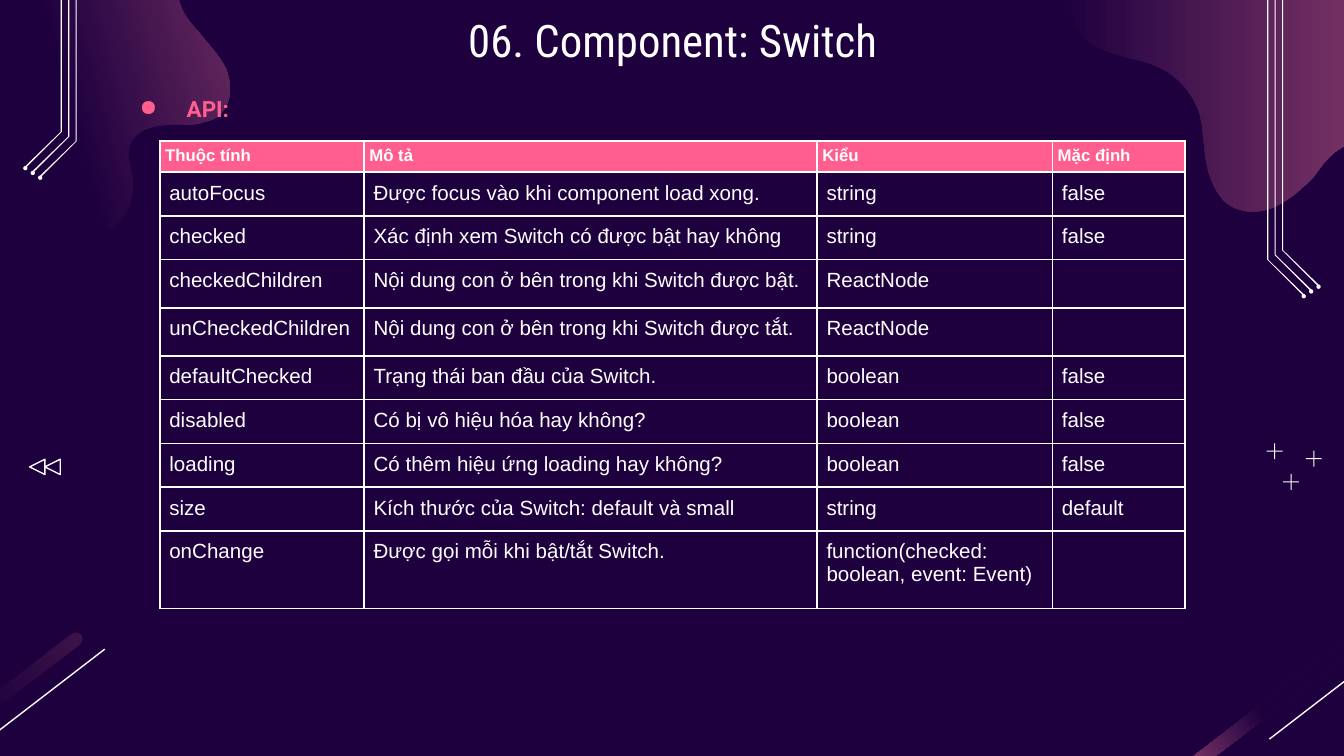
from collections import namedtuple

from lxml.etree import SubElement
from pptx import Presentation
from pptx.dml.color import RGBColor
from pptx.enum.shapes import MSO_CONNECTOR, MSO_SHAPE
from pptx.enum.text import PP_ALIGN
from pptx.oxml.ns import qn
from pptx.util import Cm, Pt

Box = namedtuple("Box", "left top width height")
DARK, PURPLE, PINK, WHITE = "1E003F", "A64D79", "FF5E8E", "FFFFFF"

# Outlines are a start point followed by triples of Bezier points.
LEFT_BLOB = [
    (48, 190), (74, 183), (86, 169), (90, 165), (98, 156), (101, 143), (99, 131),
    (98, 124), (95, 117), (97, 111), (98, 102), (106, 97), (114, 95),
    (124, 92), (133, 93), (142, 93), (146, 93), (150, 92), (153, 91),
    (158, 90), (163, 88), (166, 84), (174, 75), (173, 61), (169, 51),
    (164, 41), (155, 32), (148, 23), (140, 15), (133, 4), (133, -7),
    (133, -16), (136, -25), (143, -31), (147, -35), (153, -38), (159, -39),
    (168, -42), (179, -42), (190, -41), (201, -41), (212, -40), (223, -42),
    (237, -46), (246, -51), (252, -58), (259, -66), (261, -78), (258, -87),
    (256, -105), (244, -125), (233, -134), (215, -150), (190, -155), (167, -151),
    (129, -140), (103, -110), (70, -95), (65, -93), (59, -91), (54, -90),
    (22, -81), (-13, -85), (-47, -82), (-62, -81), (-77, -78), (-91, -74),
    (-104, -71), (-116, -67), (-128, -61), (-145, -54), (-162, -44), (-174, -30),
    (-186, -17), (-195, 2), (-194, 22), (-193, 46), (-176, 68), (-156, 80),
    (-135, 93), (-112, 97), (-88, 99), (-74, 101), (-60, 101), (-46, 106),
    (-32, 110), (-19, 119), (-13, 133), (-8, 144), (-8, 155), (-3, 166),
    (6, 184), (29, 195), (48, 190)]
RIGHT_BLOB = [
    (1125, 38), (1125, 13), (1118, -13), (1105, -35), (1094, -54), (1078, -70), (1058, -77),
    (1036, -85), (1012, -81), (989, -84), (967, -87), (945, -97), (929, -113),
    (918, -123), (909, -135), (897, -141), (883, -148), (867, -146), (852, -143),
    (840, -140), (828, -136), (819, -129), (803, -117), (796, -97), (793, -78),
    (790, -65), (789, -51), (789, -38), (789, -31), (789, -24), (790, -18),
    (791, 0), (796, 18), (809, 30), (825, 42), (847, 42), (864, 50),
    (878, 57), (888, 69), (893, 83), (896, 94), (896, 107), (898, 119),
    (900, 130), (905, 143), (914, 150), (924, 157), (938, 157), (949, 152),
    (960, 147), (969, 139), (978, 130), (983, 123), (988, 116), (995, 111),
    (1002, 106), (1010, 103), (1018, 106), (1033, 110), (1038, 130), (1052, 138),
    (1085, 157), (1108, 112), (1117, 88), (1122, 72), (1125, 55), (1125, 38)]

HEADER = ["Thuộc tính", "Mô tả", "Kiểu", "Mặc định"]
PROPERTIES = [
    ("autoFocus", "Được focus vào khi component load xong.", "string", "false"),
    ("checked", "Xác định xem Switch có được bật hay không", "string", "false"),
    ("checkedChildren", "Nội dung con ở bên trong khi Switch được bật.", "ReactNode", ""),
    ("unCheckedChildren", "Nội dung con ở bên trong khi Switch được tắt.", "ReactNode", ""),
    ("defaultChecked", "Trạng thái ban đầu của Switch.", "boolean", "false"),
    ("disabled", "Có bị vô hiệu hóa hay không?", "boolean", "false"),
    ("loading", "Có thêm hiệu ứng loading hay không?", "boolean", "false"),
    ("size", "Kích thước của Switch: default và small", "string", "default"),
    ("onChange", "Được gọi mỗi khi bật/tắt Switch.", "function(checked: boolean, event: Event)", "")]
COLUMN_WIDTHS = [3.86, 8.56, 4.45, 2.51]
ROW_HEIGHTS = [0.57, 0.79, 0.79, 0.91, 0.91] + [0.79] * 4 + [1.47]


def color(value):
    return RGBColor.from_string(value)


def paint(shape, fill=None, line=None):
    shape.shadow.inherit = False
    if fill:
        shape.fill.solid()
        shape.fill.fore_color.rgb = color(fill)
    else:
        shape.fill.background()
    if line:
        shape.line.color.rgb = color(line)
        shape.line.width = Pt(0.75)
    else:
        shape.line.fill.background()


def paint_gradient(shape, start, end, angle=0, positions=(0, 1)):
    paint(shape)
    shape.fill.gradient()
    shape.fill.gradient_angle = angle
    for stop, value, position in zip(shape.fill.gradient_stops, (start, end), positions):
        stop.color.rgb = color(value)
        stop.position = position


def add_preset(slide, kind, box):
    return slide.shapes.add_shape(kind, *map(Cm, box))


def add_outline(slide, points):
    points = [(Cm(x), Cm(y)) for x, y in points]
    builder = slide.shapes.build_freeform(*points[0])
    builder.add_line_segments(points[1:], close=True)
    return builder.convert_to_shape()


def flatten(outline, steps=8):
    """Return points along the Bezier curves of an outline."""
    points = [outline[0]]
    for index in range(0, len(outline) - 1, 3):
        corners = outline[index:index + 4]
        for step in range(1, steps + 1):
            t = step / steps
            weights = ((1 - t) ** 3, 3 * t * (1 - t) ** 2, 3 * t * t * (1 - t), t ** 3)
            points.append(tuple(sum(w * corner[axis] for w, corner in zip(weights, corners))
                                for axis in (0, 1)))
    return points


def add_blob(slide, box, outline, **gradient):
    points = flatten(outline)
    xs, ys = zip(*points)
    across, down = box.width / (max(xs) - min(xs)), box.height / (max(ys) - min(ys))
    shape = add_outline(slide, [(box.left + (x - min(xs)) * across,
                                 box.top + (y - min(ys)) * down) for x, y in points])
    paint_gradient(shape, DARK, PURPLE, **gradient)


def add_streak(slide, box, start, end, positions):
    """Slanted glowing bar with a thin line to its lower right."""
    length, thickness = 4.75, 0.25
    bar = add_preset(slide, MSO_SHAPE.ROUNDED_RECTANGLE,
                     Box(box.left + (box.width - length) / 2,
                         box.top + (box.height - thickness) / 2, length, thickness))
    bar.adjustments[0] = 0.5
    bar.rotation = -37.4
    paint_gradient(bar, start, end, positions=positions)
    line = slide.shapes.add_connector(
        MSO_CONNECTOR.STRAIGHT, Cm(box.left + 4.24), Cm(box.top + 0.32),
        Cm(box.left + 2.03), Cm(box.top + 2.02))
    line.line.color.rgb = color(WHITE)
    line.line.width = Pt(0.75)
    SubElement(line._element.spPr, qn("a:effectLst"))


def add_rails(slide, left, top, side):
    """Three vertical lines that bend outward, side being 1 or -1."""
    bend, thickness, dot = 0.69, 0.02, 0.08
    for index in range(3):
        x, y = left - side * 0.14 * index, top + 7.75 + 0.09 * index
        inner, end_x, end_y = x + side * thickness, x + side * bend, y + bend
        rail = add_outline(slide, [(inner, top), (x, top), (x, y), (end_x, end_y),
                                   (end_x + side * thickness, end_y - thickness), (inner, y)])
        paint(rail, WHITE)
        tip = add_preset(slide, MSO_SHAPE.OVAL, Box(end_x - dot / 2, end_y - dot / 2, dot, dot))
        paint(tip, WHITE)


def add_pluses(slide, box):
    arm, thickness = 0.3, 0.02
    for x, y in [(0.46, 0.73), (0.89, 0.29), (0.15, 0.15)]:
        for width, height in [(arm, thickness), (thickness, arm)]:
            bar = add_preset(slide, MSO_SHAPE.RECTANGLE,
                             Box(box.left + x - width / 2, box.top + y - height / 2, width, height))
            paint(bar, WHITE)


def add_rewind(slide, box):
    for index in range(2):
        triangle = add_preset(slide, MSO_SHAPE.ISOSCELES_TRIANGLE,
                              Box(box.left + index * box.width / 2, box.top,
                                  box.width / 2, box.height))
        triangle.rotation = 270
        paint(triangle, line=WHITE)


def write(paragraph, text, *, font, size, fill=WHITE, bold=False, align=None):
    run = paragraph.add_run()
    run.text = text
    run.font.name, run.font.size, run.font.bold = font, Pt(size), bold
    run.font.color.rgb = color(fill)
    paragraph.alignment = align


def add_text_box(slide, box):
    frame = slide.shapes.add_textbox(*map(Cm, box)).text_frame
    frame.word_wrap = True
    frame.margin_left = frame.margin_right = frame.margin_top = frame.margin_bottom = Cm(0.25)
    return frame.paragraphs[0]


def add_heading(slide, box):
    title = add_text_box(slide, Box(box.left, box.top, box.width, 1.6))
    write(title, "06. Component: Switch", font="Roboto Condensed", size=24, align=PP_ALIGN.CENTER)
    subtitle = add_text_box(slide, Box(box.left, box.top + 1.3, 20.62, 1.12))
    subtitle.line_spacing = 1.5
    properties = subtitle._p.get_or_add_pPr()
    properties.set("marL", str(Cm(1.27)))
    properties.set("indent", str(Cm(-0.89)))
    SubElement(SubElement(properties, qn("a:buClr")), qn("a:srgbClr"), val=PINK)
    SubElement(properties, qn("a:buChar"), char="●")
    write(subtitle, "API:", font="Roboto", size=12, fill=PINK, bold=True)


def add_borders(cell):
    properties = cell._tc.get_or_add_tcPr()
    for side in ("lnL", "lnR", "lnT", "lnB"):
        border = SubElement(properties, qn(f"a:{side}"), w=str(Pt(1)))
        SubElement(SubElement(border, qn("a:solidFill")), qn("a:srgbClr"), val=WHITE)


def fill_cell(cell, text, is_header):
    margin = Cm(0.1 if is_header else 0.18)
    cell.margin_left = cell.margin_right = cell.margin_top = cell.margin_bottom = margin
    add_borders(cell)
    if is_header:
        cell.fill.solid()
        cell.fill.fore_color.rgb = color(PINK)
    else:
        cell.fill.background()
    paragraph = cell.text_frame.paragraphs[0]
    if text:
        write(paragraph, text, font="Arial", size=9 if is_header else 11, bold=is_header)
    else:
        SubElement(paragraph._p, qn("a:endParaRPr"), sz="1100")


def add_property_table(slide, box):
    rows = [HEADER, *PROPERTIES]
    table = slide.shapes.add_table(len(rows), len(HEADER), *map(Cm, box)).table
    table.first_row = table.horz_banding = False
    for column, width in zip(table.columns, COLUMN_WIDTHS):
        column.width = Cm(width)
    for index, (row, height) in enumerate(zip(table.rows, ROW_HEIGHTS)):
        row.height = Cm(height)
        for cell, text in zip(row.cells, rows[index]):
            fill_cell(cell, text, index == 0)


def main():
    presentation = Presentation()
    presentation.slide_width, presentation.slide_height = Cm(25.4), Cm(14.29)
    slide = presentation.slides.add_slide(presentation.slide_layouts[6])
    slide.background.fill.solid()
    slide.background.fill.fore_color.rgb = color(DARK)
    add_blob(slide, Box(-4.93, -3.85, 11.49, 8.69), LEFT_BLOB, angle=15, positions=(0.5, 1))
    add_blob(slide, Box(20.03, -3.75, 8.53, 7.75), RIGHT_BLOB)
    add_streak(slide, Box(-2.26, 11.95, 3.81, 3), DARK, "3E1449", (0.5, 1))
    add_streak(slide, Box(21.96, 11.95, 3.81, 3), PURPLE, DARK, (0, 0.5))
    add_rails(slide, 24.23, -3.02, 1)
    add_rails(slide, 1.17, -5.26, -1)
    add_pluses(slide, Box(23.94, 8.38, 1.04, 0.88))
    add_rewind(slide, Box(0.56, 8.68, 0.58, 0.29))
    add_heading(slide, Box(2.01, 0, 21.41, 2.42))
    add_property_table(slide, Box(3.02, 2.67, sum(COLUMN_WIDTHS), sum(ROW_HEIGHTS)))
    presentation.save("out.pptx")


if __name__ == "__main__":
    main()
